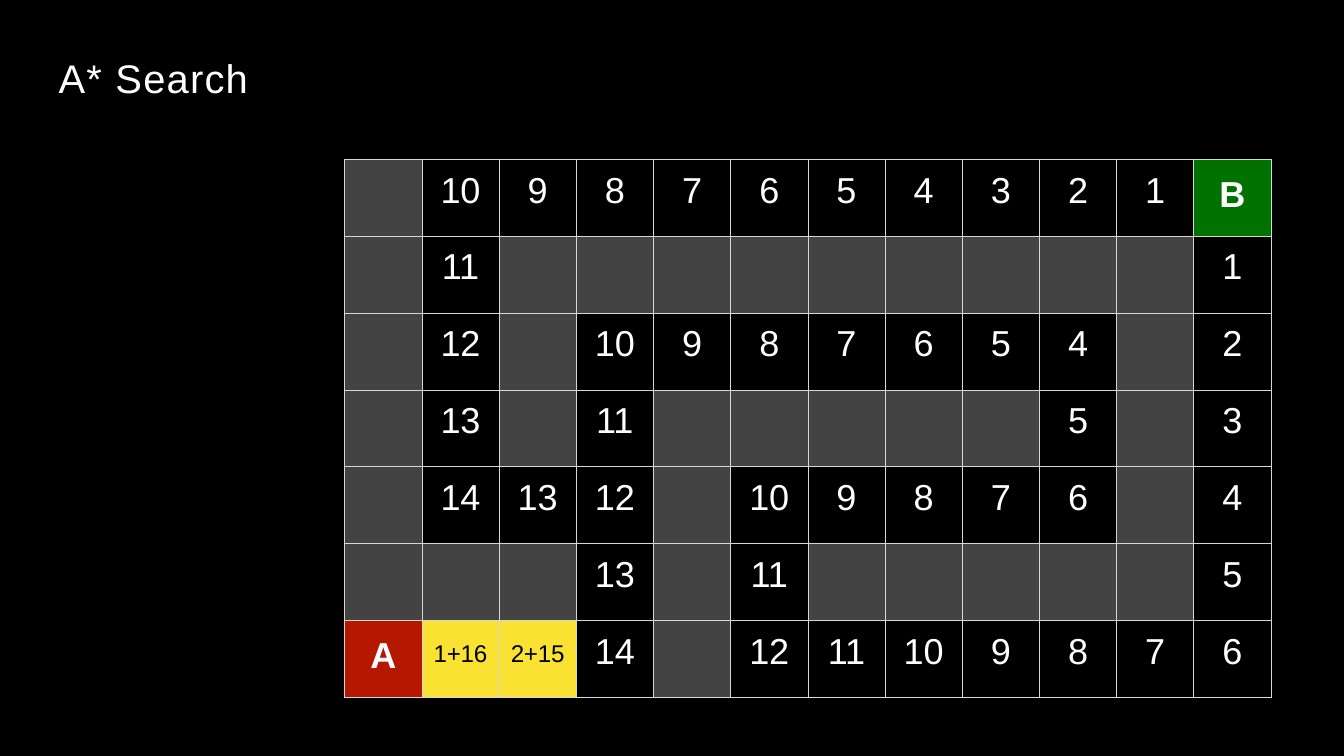
"""Build the A* search slide: a maze grid with heuristic distances."""
from lxml import etree
from pptx import Presentation, util as u
from pptx.dml.color import RGBColor
from pptx.enum import text
from pptx.oxml import ns

W, H = 21.99, 12.37
LINE, WALL, OPEN = "D6D7D6", "434343", "000000"
MAZE = [row.split() for row in (
    "# 10 9 8 7 6 5 4 3 2 1 B",
    "# 11 # # # # # # # # # 1",
    "# 12 # 10 9 8 7 6 5 4 # 2",
    "# 13 # 11 # # # # # 5 # 3",
    "# 14 13 12 # 10 9 8 7 6 # 4",
    "# # # 13 # 11 # # # # # 5",
    "A 1+16 2+15 14 # 12 11 10 9 8 7 6",
)]
FILLS = {"#": WALL, "A": "B51700", "B": "017100", "1+16": "FAE232", "2+15": "FAE232"}
NUMBER = {"size": u.Pt(42.5), "name": "Arial", "bold": False}
ENDPOINT = {**NUMBER, "bold": True}
COST = {**NUMBER, "size": u.Pt(28.5)}
TITLE = {**NUMBER, "size": u.Pt(47)}


def paint(fill, color):
    fill.solid()
    fill.fore_color.rgb = RGBColor.from_string(color)


def write(p, words, fmt, color, spacing):
    r = p.add_run()
    r.text = words
    for name, value in fmt.items():
        setattr(r.font, name, value)
    paint(r.font.fill, color)
    r._r.get_or_add_rPr().set("spc", str(spacing))


prs = Presentation()
prs.slide_width, prs.slide_height = u.Inches(W), u.Inches(H)
s = prs.slides.add_slide(prs.slide_layouts[5])
paint(s.background.fill, OPEN)

title = s.shapes.title
box = {"left": 0.96, "top": 0.86, "width": 3.15, "height": 0.81}
for name, value in box.items():
    setattr(title, name, u.Inches(value))
tf = title.text_frame
frame = {"margin_left": 0, "margin_right": 0, "margin_top": u.Inches(0.01), "margin_bottom": 0,
         "word_wrap": True, "vertical_anchor": text.MSO_ANCHOR.TOP,
         "auto_size": text.MSO_AUTO_SIZE.SHAPE_TO_FIT_TEXT}
for name, value in frame.items():
    setattr(tf, name, value)
tf.paragraphs[0].alignment = text.PP_ALIGN.LEFT
write(tf.paragraphs[0], "A* Search", TITLE, "FFFFFF", 145)

grid = s.shapes.add_table(len(MAZE), len(MAZE[0]), u.Inches(5.64), u.Inches(2.61),
                          u.Inches(15.16), u.Inches(8.8)).table
grid.first_row = grid.horz_banding = False
for i, row in enumerate(MAZE):
    for j, mark in enumerate(row):
        cell = grid.cell(i, j)
        fmt, color, top, spacing = NUMBER, "FFFFFF", 0.18, 0
        if mark in "AB":
            fmt, top = ENDPOINT, 0.25
        elif "+" in mark:
            fmt, color, top, spacing = COST, "000000", 0.33, -20
        elif len(mark) == 2:
            spacing = -10
        margins = {"left": 0, "right": 0, "top": u.Inches(top), "bottom": 0}
        for side, value in margins.items():
            setattr(cell, f"margin_{side}", value)
        tcPr = cell._tc.get_or_add_tcPr()
        for side in "LRTB":
            ln = etree.SubElement(tcPr, ns.qn(f"a:ln{side}"), w=str(u.Pt(1)))
            solid = etree.SubElement(ln, ns.qn("a:solidFill"))
            etree.SubElement(solid, ns.qn("a:srgbClr"), val=LINE)
        paint(cell.fill, FILLS.get(mark, OPEN))
        if mark != "#":
            p = cell.text_frame.paragraphs[0]
            p.alignment = text.PP_ALIGN.CENTER
            write(p, mark, fmt, color, spacing)

prs.save("out.pptx")
